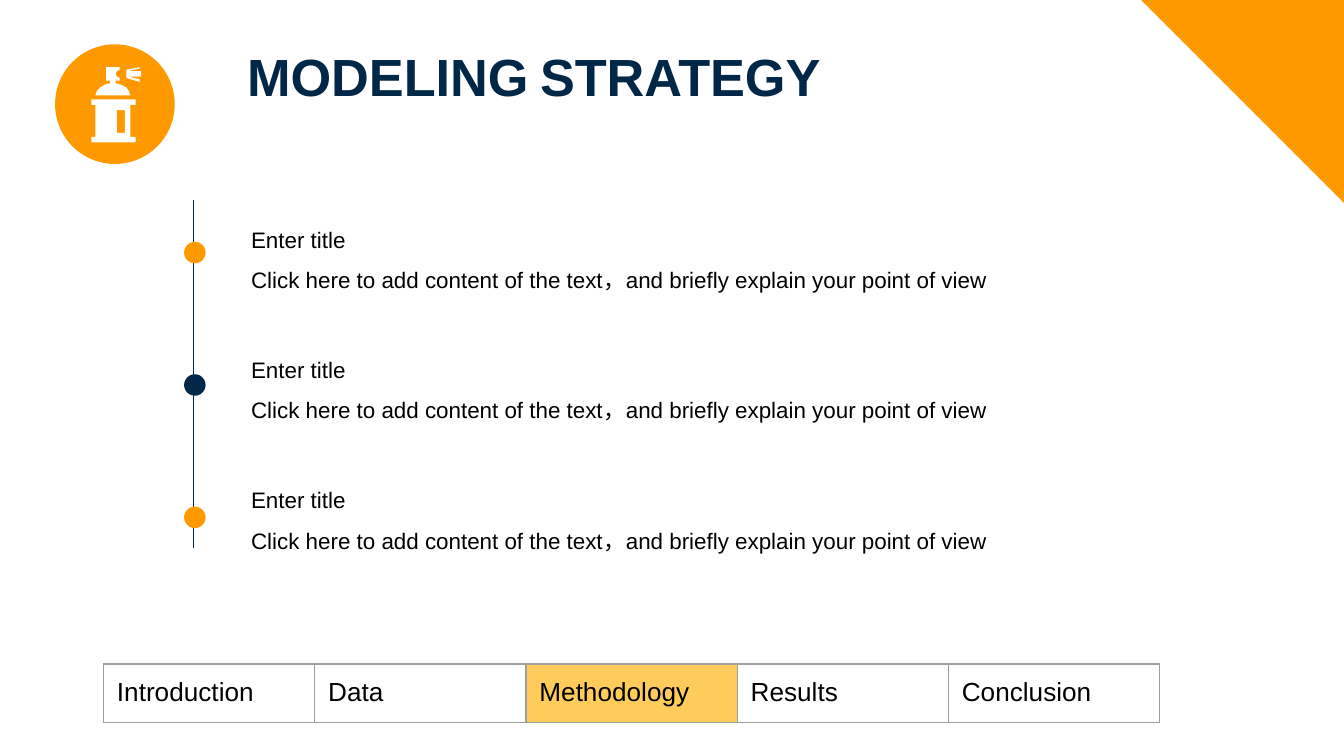
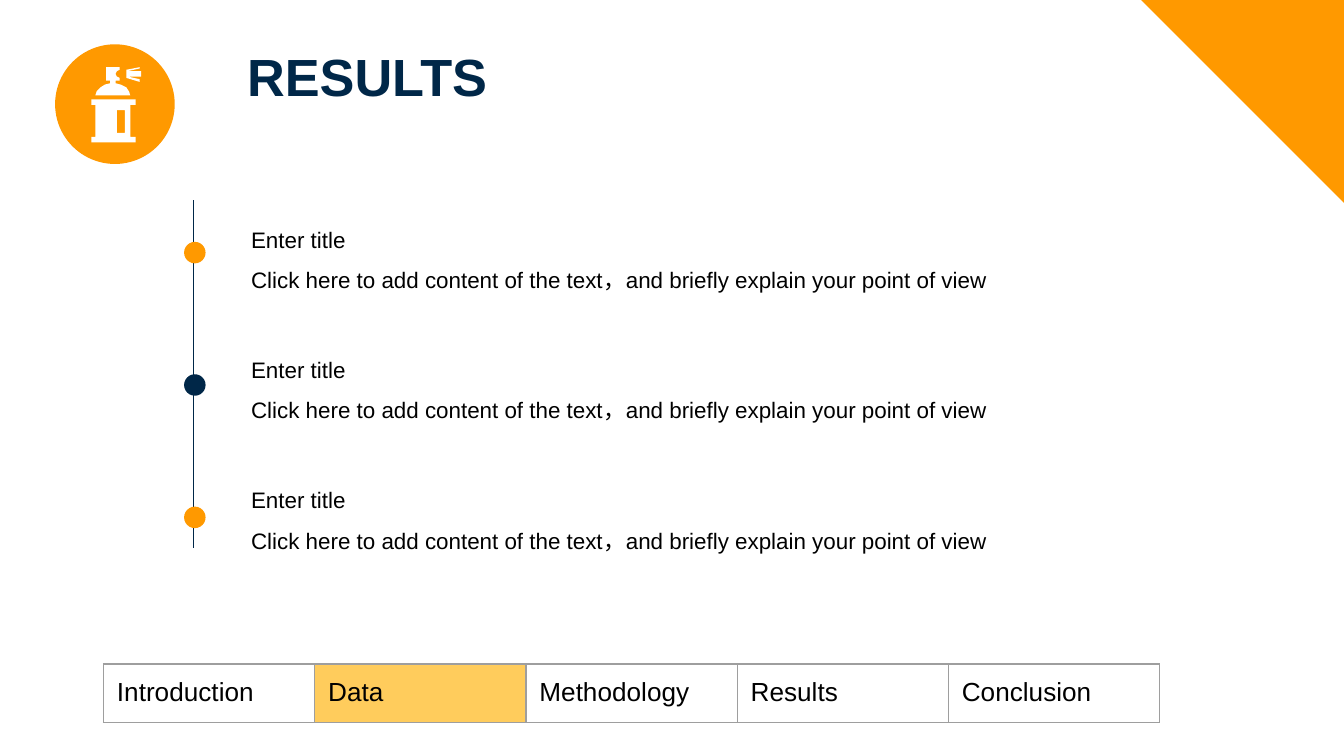
import dataclasses

import lxml.etree
import pptx
import pptx.dml.color
import pptx.enum.shapes
import pptx.enum.text
import pptx.oxml.ns
import pptx.util

Inches = pptx.util.Inches
Pt = pptx.util.Pt
Shapes = pptx.enum.shapes.MSO_SHAPE


@dataclasses.dataclass(frozen=True)
class Theme:
    """Colours, font and type sizes shared by the slides."""

    orange: str = "FF9900"
    navy: str = "002748"
    highlight: str = "FFCC5C"
    white: str = "FFFFFF"
    black: str = "000000"
    border: str = "9E9E9E"
    font: str = "Arial"
    title_size: int = 28
    body_size: int = 12
    section_size: int = 14
    line_width: float = 0.75


@dataclasses.dataclass(frozen=True)
class Box:
    """A region of the slide, in inches."""

    left: float
    top: float
    width: float
    height: float

    def place(self, x, y, width, height):
        """Return slide lengths for a part given relative to this box."""
        return [Inches(n) for n in (self.left + x, self.top + y, width, height)]


THEME = Theme()
CORNER = Box(8.48, -0.01, 1.54, 1.54)
BADGE = Box(0.41, 0.33, 0.89, 0.89)
TITLE = Box(1.78, 0.3, 5.97, 0.6)
TIMELINE = Box(1.37, 1.49, 7.27, 2.59)
SECTION_BAR = Box(0.77, 4.94, 7.86, 0.43)

SECTIONS = ["Introduction", "Data", "Methodology", "Results", "Conclusion"]
SLIDES = [("MODELING STRATEGY", "Methodology"), ("RESULTS", "Data")]
ENTRY = ("Enter title\vClick here to add content of the text，"
         "and briefly explain your point of view")
DOT_COLOURS = [THEME.orange, THEME.navy, THEME.orange]

BOTTLE_OUTLINES = [
    [(56, 45), (56, 69), (60, 69), (60, 73), (27, 73), (27, 69),
     (30, 69), (30, 45), (27, 45), (27, 41), (60, 41), (60, 45)],
    [(52, 49), (46, 49), (46, 66), (52, 66)],
    [(63, 26), (54, 24), (64, 24), (64, 20), (54, 20),
     (63, 18), (63, 17), (53, 19), (53, 25), (63, 28)],
    [(45, 27), (45, 29), (49, 30), (53, 32), (55, 35), (56, 38), (30, 38),
     (31, 35), (34, 32), (37, 30), (41, 29), (41, 27), (38, 27), (38, 17),
     (48, 17), (48, 19), (46, 20), (45, 22), (46, 24), (48, 25), (48, 27)],
]


def rgb(colour):
    """Return a colour object for a hex value."""
    return pptx.dml.color.RGBColor.from_string(colour)


def set_values(target, values):
    """Set each attribute named in a dict of format values."""
    for name, value in values.items():
        setattr(target, name, value)


def margin_values(horizontal, vertical):
    """Return the four text margins as format values."""
    return {"margin_left": Inches(horizontal), "margin_right": Inches(horizontal),
            "margin_top": Inches(vertical), "margin_bottom": Inches(vertical)}


def paint(shape, colour):
    """Give a shape a plain fill without line or shadow."""
    shape.shadow.inherit = False
    shape.fill.solid()
    shape.fill.fore_color.rgb = rgb(colour)
    shape.line.fill.background()


def write_text(frame, text, colour, font_format):
    """Write one formatted paragraph and return it."""
    paragraph = frame.paragraphs[0]
    paragraph.text = text
    for run in paragraph.runs:
        set_values(run.font, {"name": THEME.font, **font_format})
        run.font.color.rgb = rgb(colour)
    return paragraph


def add_text(slide, lengths, margins, text, colour, font_format):
    """Add a wrapping, top-anchored text box and return its paragraph."""
    frame = slide.shapes.add_textbox(*lengths).text_frame
    set_values(frame, {
        "word_wrap": True,
        "vertical_anchor": pptx.enum.text.MSO_ANCHOR.TOP,
        **margin_values(*margins),
    })
    return write_text(frame, text, colour, font_format)


def add_corner(slide, box):
    """Draw the triangle in the upper right corner."""
    triangle = slide.shapes.add_shape(
        Shapes.RIGHT_TRIANGLE, *box.place(0, 0, box.width, box.height))
    triangle.rotation = 180
    paint(triangle, THEME.orange)


def add_badge(slide, box):
    """Draw the round badge with the spray bottle."""
    group = slide.shapes.add_group_shape()
    circle = group.shapes.add_shape(
        Shapes.OVAL, *box.place(0, 0, box.width, box.height))
    paint(circle, THEME.orange)
    first, *others = BOTTLE_OUTLINES
    builder = group.shapes.build_freeform(*first[0], scale=Inches(0.01))
    builder.add_line_segments(first[1:], close=True)
    for outline in others:
        builder.move_to(*outline[0])
        builder.add_line_segments(outline[1:], close=True)
    bottle = builder.convert_to_shape(Inches(box.left), Inches(box.top))
    paint(bottle, THEME.white)


def add_title(slide, box, text):
    """Write the slide title in small capitals."""
    paragraph = add_text(
        slide, box.place(0, 0, box.width, box.height), (0.06, 0.03), text,
        THEME.navy, {"size": Pt(THEME.title_size), "bold": True})
    for run in paragraph.runs:
        run._r.get_or_add_rPr().set("cap", "small")


def add_timeline(slide, box):
    """Draw the vertical line with its dots and entries."""
    left, top, _, height = box.place(0.07, 0, 0, box.height)
    line = slide.shapes.add_connector(
        pptx.enum.shapes.MSO_CONNECTOR.STRAIGHT, left, top, left, top + height)
    line.line.color.rgb = rgb(THEME.navy)
    line.line.width = Pt(THEME.line_width)
    lxml.etree.SubElement(line._element.spPr, pptx.oxml.ns.qn("a:effectLst"))
    for index, colour in enumerate(DOT_COLOURS):
        dot = slide.shapes.add_shape(
            Shapes.OVAL, *box.place(0, 0.31 + index * 1.97 / 2, 0.16, 0.16))
        paint(dot, colour)
    for index in range(len(DOT_COLOURS)):
        paragraph = add_text(
            slide, box.place(0.4, 0.04 + index * 0.97, box.width - 0.4, 1.01),
            (0.1, 0.05), ENTRY, THEME.black, {"size": Pt(THEME.body_size)})
        paragraph.line_spacing = 1.5


def add_borders(cell):
    """Draw a thin line on each side of a table cell."""
    properties = cell._tc.get_or_add_tcPr()
    for side in ("lnL", "lnR", "lnT", "lnB"):
        line = lxml.etree.SubElement(
            properties, pptx.oxml.ns.qn(f"a:{side}"), w=str(Pt(THEME.line_width)))
        fill = lxml.etree.SubElement(line, pptx.oxml.ns.qn("a:solidFill"))
        lxml.etree.SubElement(
            fill, pptx.oxml.ns.qn("a:srgbClr"), val=THEME.border)


def add_section_bar(slide, box, current):
    """Build the table of sections and highlight the current one."""
    frame = slide.shapes.add_table(
        1, len(SECTIONS), *box.place(0, 0, box.width, box.height))
    table = frame.table
    set_values(table, {"first_row": False, "horz_banding": False})
    table.rows[0].height = Inches(0.32)
    for index, section in enumerate(SECTIONS):
        table.columns[index].width = Inches(box.width / len(SECTIONS))
        cell = table.cell(0, index)
        add_borders(cell)
        cell.fill.solid()
        cell.fill.fore_color.rgb = rgb(
            THEME.highlight if section == current else THEME.white)
        write_text(cell.text_frame, section, THEME.black,
                   {"size": Pt(THEME.section_size)})
        set_values(cell, margin_values(0.1, 0.1))
    frame.height = Inches(box.height)


def add_section_slide(presentation, title, current):
    """Add a slide with title, timeline and section bar."""
    slide = presentation.slides.add_slide(presentation.slide_layouts[6])
    add_badge(slide, BADGE)
    add_corner(slide, CORNER)
    add_title(slide, TITLE, title)
    add_timeline(slide, TIMELINE)
    add_section_bar(slide, SECTION_BAR, current)


def main():
    """Build the presentation and save it."""
    presentation = pptx.Presentation()
    set_values(presentation, {"slide_width": Inches(10),
                              "slide_height": Inches(10 * 9 / 16)})
    for title, current in SLIDES:
        add_section_slide(presentation, title, current)
    presentation.save("out.pptx")


if __name__ == "__main__":
    main()
